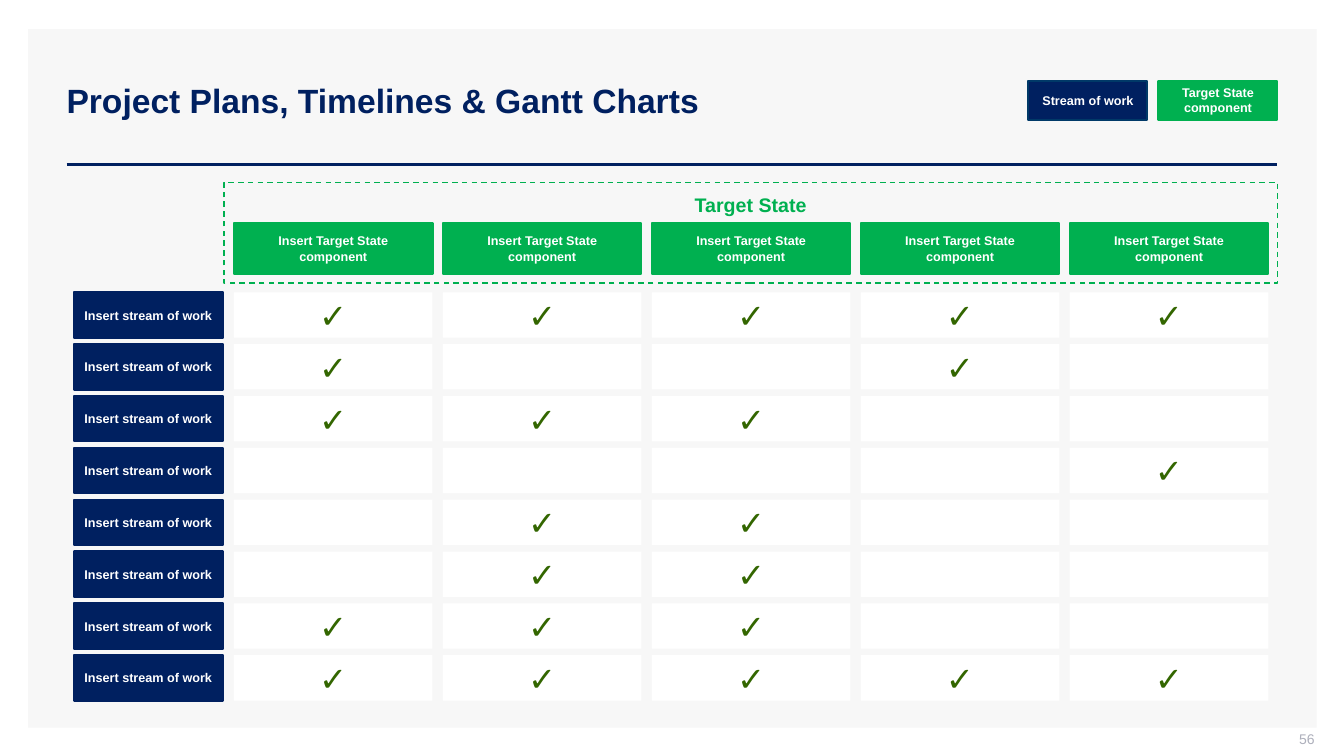
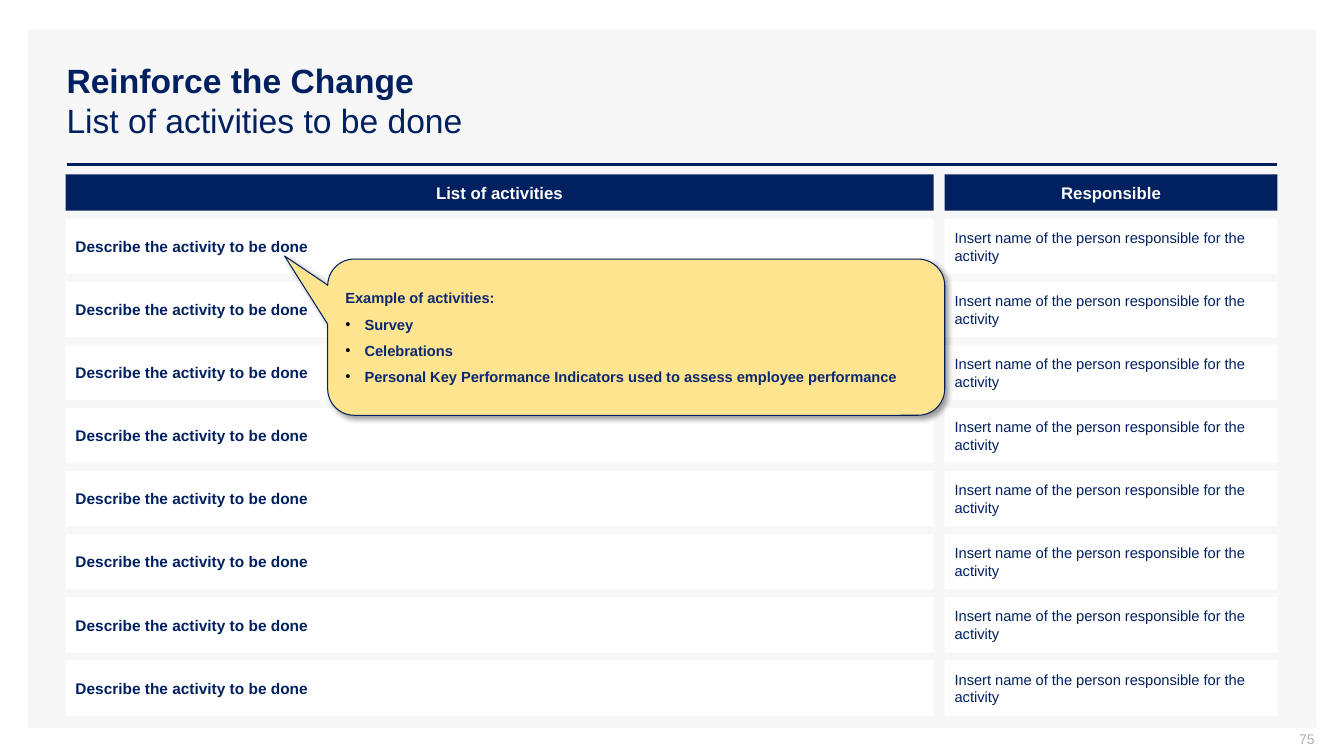
import pptx
import pptx.dml.color
import pptx.enum.dml
import pptx.enum.shapes
import pptx.enum.text
import pptx.oxml
import pptx.oxml.ns
import pptx.util

Inches = pptx.util.Inches
Pt = pptx.util.Pt
RGBColor = pptx.dml.color.RGBColor
SHAPE = pptx.enum.shapes.MSO_SHAPE
ANCHOR = pptx.enum.text.MSO_ANCHOR
ALIGN = pptx.enum.text.PP_ALIGN

NAVY = RGBColor(0x00, 0x20, 0x60)
DEEP_BLUE = RGBColor(0x00, 0x39, 0x68)
CALLOUT_BLUE = RGBColor(0x0C, 0x28, 0x70)
GREEN = RGBColor(0x00, 0xB0, 0x50)
CHECK_GREEN = RGBColor(0x33, 0x66, 0x00)
YELLOW = RGBColor(0xFF, 0xE4, 0x8F)
PANEL_GREY = RGBColor(0xF7, 0xF7, 0xF7)
NUMBER_GREY = RGBColor(0xAD, 0xAF, 0xBB)
WHITE = RGBColor(0xFF, 0xFF, 0xFF)

FONT = "Arial"
DEFAULT_INSETS = (0.1, 0.05, 0.1, 0.05)


def write_text(para, text, *, size, color, bold=False, align=ALIGN.LEFT, before=0):
    """Add a formatted span to the paragraph."""
    para.alignment = align
    para.space_before = Pt(before)
    span = para.add_run()
    span.text = text
    span.font.name = FONT
    span.font.size = Pt(size)
    span.font.bold = bold
    span.font.color.rgb = color


def add_bullet(para, indent):
    properties = para._p.get_or_add_pPr()
    properties.set("marL", str(Inches(indent)))
    properties.set("indent", str(-Inches(indent)))
    namespace = pptx.oxml.ns.nsdecls("a")
    for markup in (
        f'<a:buClr {namespace}><a:srgbClr val="000000"/></a:buClr>',
        f'<a:buFont {namespace} typeface="{FONT}"/>',
        f'<a:buChar {namespace} char="•"/>',
    ):
        properties.append(pptx.oxml.parse_xml(markup))


def spread(first, last, count):
    """Return evenly spaced positions from first to last."""
    return [first + (last - first) * index / (count - 1) for index in range(count)]


class SlideBuilder:
    """Holds the deck style and the slide being built."""

    def __init__(self):
        self.deck = pptx.Presentation()
        self.deck.slide_width = Inches(13.33)
        self.deck.slide_height = Inches(7.5)
        self.slide = None

    def start_slide(self, title, number, subtitle=None):
        self.slide = self.deck.slides.add_slide(self.deck.slide_layouts[5])
        self.box(0.28, 0.29, 12.78, 6.93, fill=PANEL_GREY)
        self.rule(0.66, 12.67, 1.63)
        self.title(title, subtitle)
        self.page_number(number)

    def title(self, title, subtitle):
        holder = self.slide.shapes.title
        holder.left, holder.top = Inches(0.56), Inches(0.4)
        holder.width, holder.height = Inches(12.11), Inches(1.19)
        holder.element.getparent().append(holder.element)  # in front of the panel
        frame = self.frame(holder)
        para = frame.paragraphs[0]
        write_text(para, title, size=24, color=NAVY, bold=True)
        if subtitle:
            para.add_line_break()
            write_text(para, subtitle, size=24, color=NAVY)

    def page_number(self, number):
        holder = self.slide.shapes.add_textbox(
            Inches(10.04), Inches(7.25), Inches(3), Inches(0.21))
        frame = self.frame(holder, insets=(0.1, 0, 0, 0.05))
        write_text(frame.paragraphs[0], str(number), size=10, color=NUMBER_GREY,
                   align=ALIGN.RIGHT)

    def rule(self, left, right, top):
        line = self.slide.shapes.add_connector(
            pptx.enum.shapes.MSO_CONNECTOR.STRAIGHT,
            Inches(left), Inches(top), Inches(right), Inches(top))
        line.line.color.rgb = NAVY
        line.line.width = Pt(2)
        line._element.spPr.append(pptx.oxml.parse_xml(
            f'<a:effectLst {pptx.oxml.ns.nsdecls("a")}/>'))

    def frame(self, shape, anchor=ANCHOR.MIDDLE, insets=DEFAULT_INSETS):
        frame = shape.text_frame
        frame.word_wrap = True
        frame.auto_size = pptx.enum.text.MSO_AUTO_SIZE.NONE
        frame.vertical_anchor = anchor
        (frame.margin_left, frame.margin_top,
         frame.margin_right, frame.margin_bottom) = map(Inches, insets)
        return frame

    def box(self, left, top, width, height, text=None, *, fill=None, line=None,
            line_width=1.5, dashed=False, kind=SHAPE.RECTANGLE, anchor=ANCHOR.MIDDLE,
            insets=DEFAULT_INSETS, **text_format):
        box = self.slide.shapes.add_shape(
            kind, Inches(left), Inches(top), Inches(width), Inches(height))
        box.shadow.inherit = False
        if fill is None:
            box.fill.background()
        else:
            box.fill.solid()
            box.fill.fore_color.rgb = fill
        if line is None:
            box.line.fill.background()
        else:
            box.line.color.rgb = line
            box.line.width = Pt(line_width)
        if dashed:
            box.line.dash_style = pptx.enum.dml.MSO_LINE.DASH
        frame = self.frame(box, anchor, insets)
        if text:
            write_text(frame.paragraphs[0], text, **text_format)
        return box

    def label(self, left, top, width, height, text, color, line=None):
        self.box(left, top, width, height, text, fill=color, line=line or color,
                 size=9, color=WHITE, bold=True, align=ALIGN.CENTER)

    def column_header(self, left, width, text):
        self.box(left, 1.73, width, 0.36, text, fill=NAVY, insets=(0.02,) * 4,
                 size=12, color=WHITE, bold=True, align=ALIGN.CENTER)

    def callout(self, left, top, width, height, heading, items):
        text_format = dict(size=10.5, color=CALLOUT_BLUE, bold=True)
        box = self.box(left, top, width, height, heading, fill=YELLOW, line=NAVY,
                       line_width=0.75, kind=SHAPE.ROUNDED_RECTANGULAR_CALLOUT,
                       **text_format)
        for index, value in enumerate((-0.57, -0.52, 0.17)):
            box.adjustments[index] = value
        for item in items:
            para = box.text_frame.add_paragraph()
            add_bullet(para, 0.19)
            write_text(para, item, before=6, **text_format)
        effects = box._element.spPr.find(pptx.oxml.ns.qn("a:effectLst"))
        effects.append(pptx.oxml.parse_xml(
            f'<a:outerShdw {pptx.oxml.ns.nsdecls("a")} blurRad="{Pt(4)}" '
            f'dist="{Pt(3)}" dir="2700000" algn="tl" rotWithShape="0">'
            '<a:srgbClr val="000000"><a:alpha val="40000"/></a:srgbClr>'
            '</a:outerShdw>'))


def build_target_state(builder):
    builder.start_slide("Project Plans, Timelines & Gantt Charts", 56)
    builder.label(10.2, 0.8, 1.18, 0.39, "Stream of work", NAVY, line=DEEP_BLUE)
    builder.label(11.49, 0.8, 1.18, 0.39, "Target State component", GREEN)
    builder.box(2.22, 1.81, 10.45, 1, "Target State", line=GREEN, line_width=1,
                dashed=True, anchor=ANCHOR.TOP, insets=(0.08, 0.1, 0.08, 0.08),
                size=14, color=GREEN, bold=True, align=ALIGN.CENTER)

    streams = ("✓✓✓✓✓", "✓--✓-", "✓✓✓--", "----✓",
               "-✓✓--", "-✓✓--", "✓✓✓--", "✓✓✓✓✓")
    columns = spread(2.32, 10.61, 5)
    for left in columns:
        builder.label(left, 2.21, 1.97, 0.51, "Insert Target State component", GREEN)
    for top, marks in zip(spread(2.9, 6.5, len(streams)), streams):
        builder.label(0.73, top, 1.48, 0.45, "Insert stream of work", NAVY)
        for left, mark in zip(columns, marks):
            builder.box(left, top, 1.97, 0.45, mark.strip("-"), fill=WHITE,
                        size=24, color=CHECK_GREEN, bold=True, align=ALIGN.CENTER)


def build_activities(builder):
    builder.start_slide("Reinforce the Change", 75, "List of activities to be done")
    columns = (
        (0.65, 8.61, "List of activities", "Describe the activity to be done",
         dict(size=11, bold=True)),
        (9.37, 3.3, "Responsible",
         "Insert name of the person responsible for the activity", dict(size=10.5)),
    )
    for left, width, heading, text, text_format in columns:
        builder.column_header(left, width, heading)
        for top in spread(2.17, 6.55, 8):
            builder.box(left, top, width, 0.55, text, fill=WHITE, color=NAVY,
                        **text_format)
    builder.callout(3.25, 2.57, 6.12, 1.55, "Example of activities:", (
        "Survey",
        "Celebrations",
        "Personal Key Performance Indicators used to assess employee performance",
    ))


def main():
    builder = SlideBuilder()
    build_target_state(builder)
    build_activities(builder)
    builder.deck.save("out.pptx")


if __name__ == "__main__":
    main()
